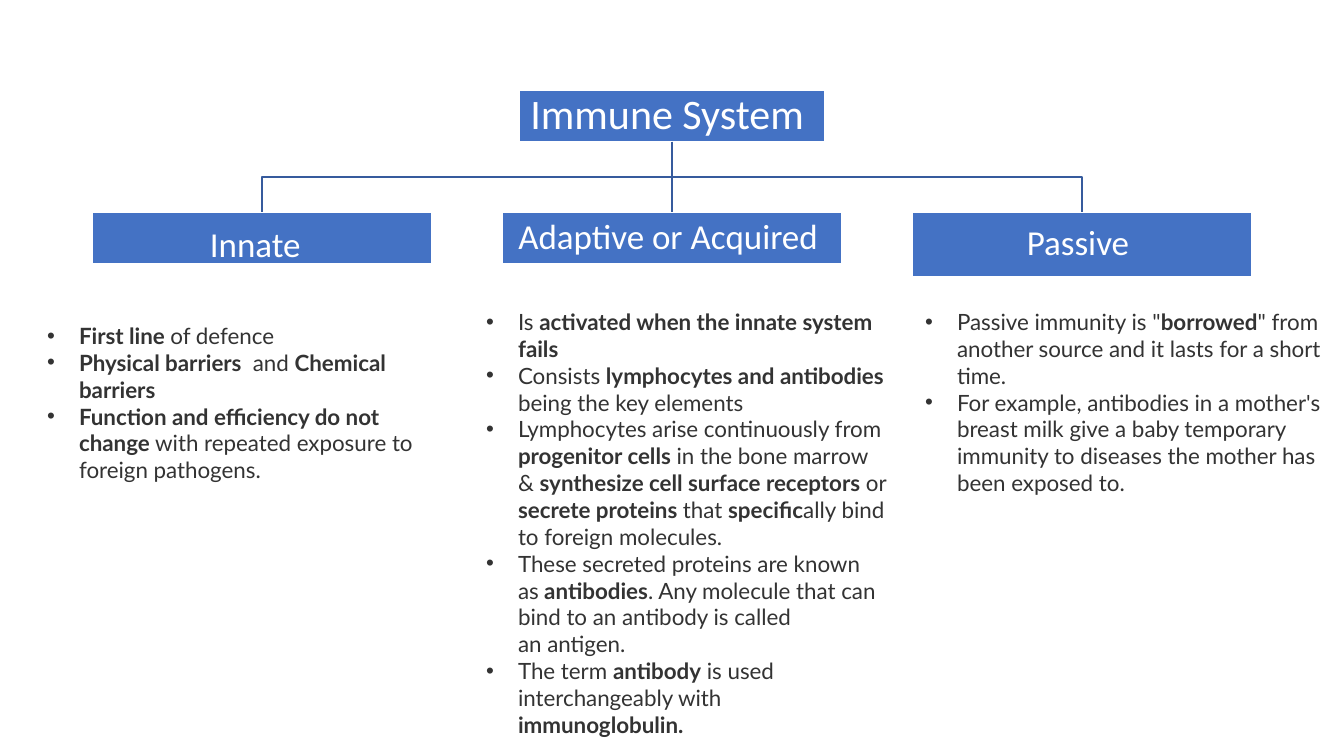
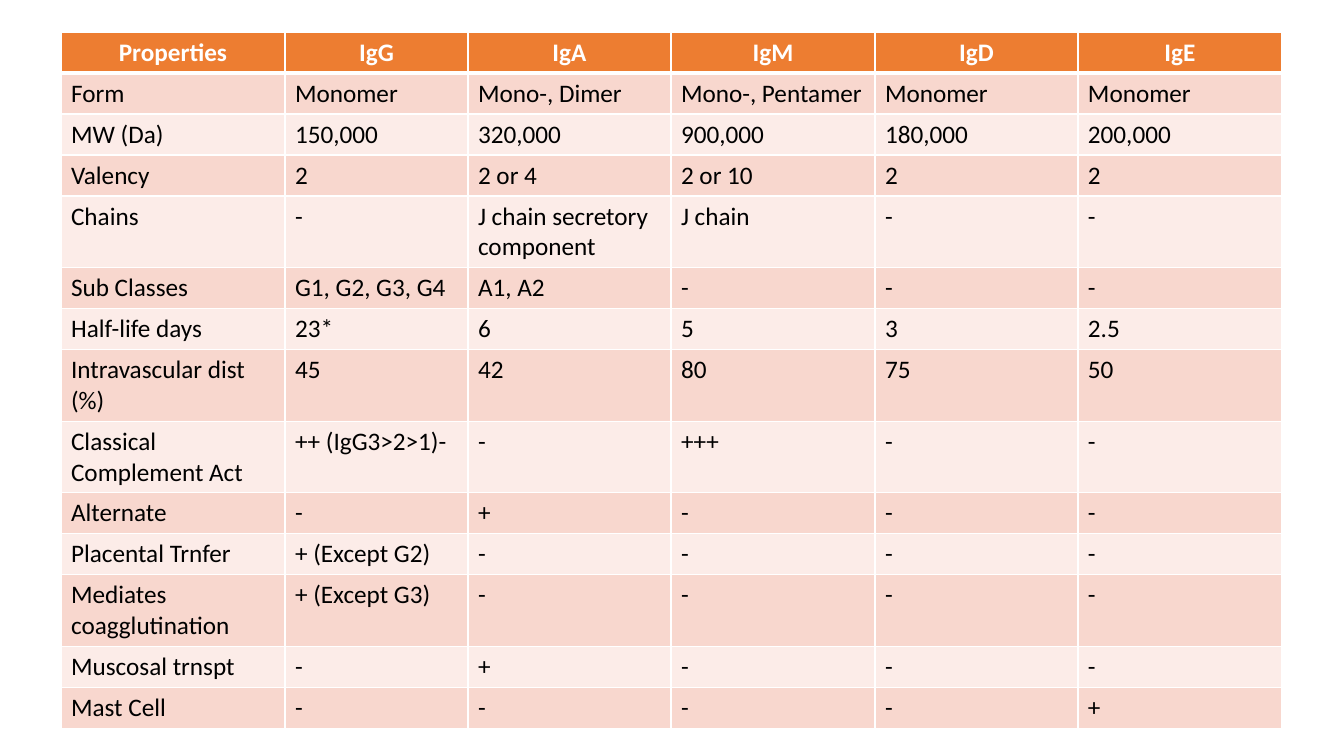
"""Build two slides on immunity: a map of the immune system and a table of antibody classes."""
from lxml.etree import SubElement
from pptx import Presentation
from pptx.dml.color import RGBColor
from pptx.enum.shapes import MSO_CONNECTOR, MSO_SHAPE
from pptx.enum.text import MSO_ANCHOR, MSO_AUTO_SIZE, PP_ALIGN
from pptx.oxml import parse_xml
from pptx.oxml.ns import nsdecls, qn
from pptx.util import Emu, Pt

PX = 914400 / 100.8
COLORS = {
    "white": "FFFFFF", "black": "000000", "box": "4472C4", "branch": "365B9D",
    "list": "333333", "header": "ED7D31", "odd": "F8D7CE", "even": "FCECE8",
}
HEADING_FONT, LIST_FONT, BULLET_FONT = "Calibri", "Lato", "Arial"
BOLD_MARK, HARD_SPACE_MARK, HARD_SPACE = "*", "~", chr(160)

SYSTEM = {"runs": [("Immune System ", 30)], "box": (519, 90, 306, 52)}
BRANCHES = [
    {"runs": [("Innate", 25), (" ", 43)], "height": 52, "list_top": 317, "list_height": 146,
     "points": [
         "*First line *of defence",
         "*Physical barriers * and *Chemical barriers*",
         "*Function and efficiency do not change* with repeated exposure to foreign pathogens.",
     ]},
    {"runs": [("Adaptive or Acquired ", 25)], "height": 52, "list_top": 303, "list_height": 390,
     "points": [
         "Is *activated when the innate system fails~*",
         "Consists *lymphocytes and antibodies *being the key elements",
         "Lymphocytes arise continuously from *progenitor cells *in the bone marrow & "
         "*synthesize cell surface receptors *or *secrete proteins *that *specific*ally "
         "bind to foreign molecules.",
         "These secreted proteins are known as*~antibodies*. Any molecule that can bind to "
         "an antibody is called an~antigen.",
         "The term *antibody* is used interchangeably with *immunoglobulin.*",
     ]},
    {"runs": [("Passive ", 25)], "height": 65, "list_top": 303, "list_height": 201,
     "points": [
         'Passive immunity is "*borrowed*" from another source and it lasts for a short time.',
         "For example, antibodies in a mother's breast milk give a baby temporary immunity "
         "to diseases the mother has been exposed to.",
     ]},
]
BRANCH_LEFT, BRANCH_TOP, BRANCH_WIDTH, BRANCH_STEP = 92, 212, 340, 410
LIST_LEFT, LIST_WIDTH, LIST_STEP, LIST_INDENT = 37, 423, 439, 32

ANTIBODIES = [
    ("Properties", "IgG", "IgA", "IgM", "IgD", "IgE"),
    ("Form", "Monomer", "Mono-, Dimer", "Mono-, Pentamer", "Monomer", "Monomer"),
    ("MW (Da)", "150,000", "320,000", "900,000", "180,000", "200,000"),
    ("Valency", "2", "2 or 4", "2 or 10", "2", "2"),
    ("Chains", "-", "J chain secretory component", "J chain", "-", "-"),
    ("Sub Classes", "G1, G2, G3, G4", "A1, A2", "-", "-", "-"),
    ("Half-life days", "23*", "6", "5", "3", "2.5"),
    ("Intravascular dist (%)", "45", "42", "80", "75", "50"),
    ("Classical Complement Act", "++ (IgG3>2>1)-", "-", "+++", "-", "-"),
    ("Alternate", "-", "+", "-", "-", "-"),
    ("Placental Trnfer", "+ (Except G2)", "-", "-", "-", "-"),
    ("Mediates coagglutination", "+ (Except G3)", "-", "-", "-", "-"),
    ("Muscosal trnspt", "-", "+", "-", "-", "-"),
    ("Mast Cell", "-", "-", "-", "-", "+"),
]
TABLE_LEFT, TABLE_TOP, ROW_HEIGHT = 61, 32, 41
COLUMN_WIDTHS = [224, 183] + [203, 204] * 2


def px(length):
    return Emu(round(length * PX))


def rgb(name):
    return RGBColor.from_string(COLORS[name])


def place(shape, left, top, width, height):
    shape.left, shape.top, shape.width, shape.height = map(px, (left, top, width, height))


def style_run(run, font, size, color, bold=False):
    run.font.name, run.font.size, run.font.bold = font, Pt(size), bold
    run.font.color.rgb = rgb(color)


def fill_box(shape, runs):
    shape.fill.solid()
    shape.fill.fore_color.rgb = rgb("box")
    shape.line.color.rgb = rgb("white")
    shape.line.width = Pt(1)
    frame = shape.text_frame
    frame.word_wrap = True
    frame.auto_size = MSO_AUTO_SIZE.NONE
    frame.vertical_anchor = MSO_ANCHOR.MIDDLE
    frame.margin_left = frame.margin_right = frame.margin_top = frame.margin_bottom = px(2)
    paragraph = frame.paragraphs[0]
    paragraph.alignment = PP_ALIGN.CENTER
    paragraph.line_spacing = 0.9
    for text, size in runs:
        run = paragraph.add_run()
        run.text = text
        style_run(run, HEADING_FONT, size, "white")


def fill_list(shape, points):
    frame = shape.text_frame
    frame.word_wrap = True
    frame.auto_size = MSO_AUTO_SIZE.SHAPE_TO_FIT_TEXT
    frame.vertical_anchor = MSO_ANCHOR.TOP
    for index, point in enumerate(points):
        paragraph = frame.add_paragraph() if index else frame.paragraphs[0]
        paragraph.space_before = Pt(0)
        properties = paragraph._p.get_or_add_pPr()
        properties.set("marL", str(px(LIST_INDENT)))
        properties.set("indent", str(-px(LIST_INDENT)))
        SubElement(properties, qn("a:buFont")).set("typeface", BULLET_FONT)
        SubElement(properties, qn("a:buChar")).set("char", "•")
        for part, text in enumerate(point.split(BOLD_MARK)):
            if text:
                run = paragraph.add_run()
                run.text = text.replace(HARD_SPACE_MARK, HARD_SPACE)
                style_run(run, LIST_FONT, 16, "list", bold=part % 2 == 1)


def join(slide, system, heading):
    start_x, start_y = system.left + system.width // 2, system.top + system.height
    end_x, end_y = heading.left + heading.width // 2, heading.top
    run, drop = end_x - start_x, end_y - start_y
    is_straight = abs(run) < px(1)
    kind = MSO_CONNECTOR.STRAIGHT if is_straight else MSO_CONNECTOR.ELBOW
    line = slide.shapes.add_connector(kind, start_x, start_y, end_x, end_y)
    line.line.color.rgb = rgb("branch")
    line.line.width = Pt(1)
    SubElement(line._element.spPr, qn("a:effectLst"))
    line.begin_connect(system, 2)
    line.end_connect(heading, 0)
    if not is_straight:
        line.left = Emu((start_x + end_x - drop) // 2)
        line.top = Emu((start_y + end_y - abs(run)) // 2)
        line.width, line.height = Emu(drop), Emu(abs(run))
        frame = line._element.spPr.find(qn("a:xfrm"))
        frame.set("rot", "16200000" if run > 0 else "5400000")
        frame.set("flipH", "1" if run > 0 else "0")


def build_system_map(deck):
    slide = deck.slides.add_slide(deck.slide_layouts.get_by_name("Comparison"))
    system = slide.shapes.title
    place(system, *SYSTEM["box"])
    fill_box(system, SYSTEM["runs"])
    *list_holders, spare = list(slide.placeholders)[1:]
    spare._element.getparent().remove(spare._element)

    for column, (branch, holder) in enumerate(zip(BRANCHES, list_holders)):
        heading = slide.shapes.add_shape(MSO_SHAPE.RECTANGLE, 0, 0, 0, 0)
        heading.shadow.inherit = False
        place(heading, BRANCH_LEFT + column * BRANCH_STEP, BRANCH_TOP,
              BRANCH_WIDTH, branch["height"])
        fill_box(heading, branch["runs"])
        join(slide, system, heading)
        place(holder, LIST_LEFT + column * LIST_STEP, branch["list_top"],
              LIST_WIDTH, branch["list_height"])
        fill_list(holder, branch["points"])


def set_borders(cell, top, bottom):
    properties = cell._tc.get_or_add_tcPr()
    sides = {"lnL": 1, "lnR": 1, "lnT": top, "lnB": bottom}
    for index, (side, width) in enumerate(sides.items()):
        properties.insert(index, parse_xml(
            f'<a:{side} {nsdecls("a")} w="{Pt(width)}"><a:solidFill>'
            f'<a:srgbClr val="{COLORS["white"]}"/></a:solidFill></a:{side}>'))


def build_antibody_table(deck):
    slide = deck.slides.add_slide(deck.slide_layouts.get_by_name("Blank"))
    table = slide.shapes.add_table(
        len(ANTIBODIES), len(COLUMN_WIDTHS), px(TABLE_LEFT), px(TABLE_TOP),
        px(sum(COLUMN_WIDTHS)), px(ROW_HEIGHT * len(ANTIBODIES))).table
    for column, width in zip(table.columns, COLUMN_WIDTHS):
        column.width = px(width)
    for row, values in enumerate(ANTIBODIES):
        table.rows[row].height = px(ROW_HEIGHT)
        is_header = row == 0
        fill = "header" if is_header else "odd" if row % 2 else "even"
        for column, value in enumerate(values):
            cell = table.cell(row, column)
            cell.fill.solid()
            cell.fill.fore_color.rgb = rgb(fill)
            set_borders(cell, top=3 if row == 1 else 1, bottom=3 if is_header else 1)
            paragraph = cell.text_frame.paragraphs[0]
            paragraph.text = value
            paragraph.alignment = PP_ALIGN.CENTER if is_header else PP_ALIGN.LEFT
            style_run(paragraph.runs[0], HEADING_FONT, 18,
                      "white" if is_header else "black", bold=is_header)


def main():
    deck = Presentation()
    deck.slide_width, deck.slide_height = px(1344), px(756)
    build_system_map(deck)
    build_antibody_table(deck)
    deck.save("out.pptx")


if __name__ == "__main__":
    main()
